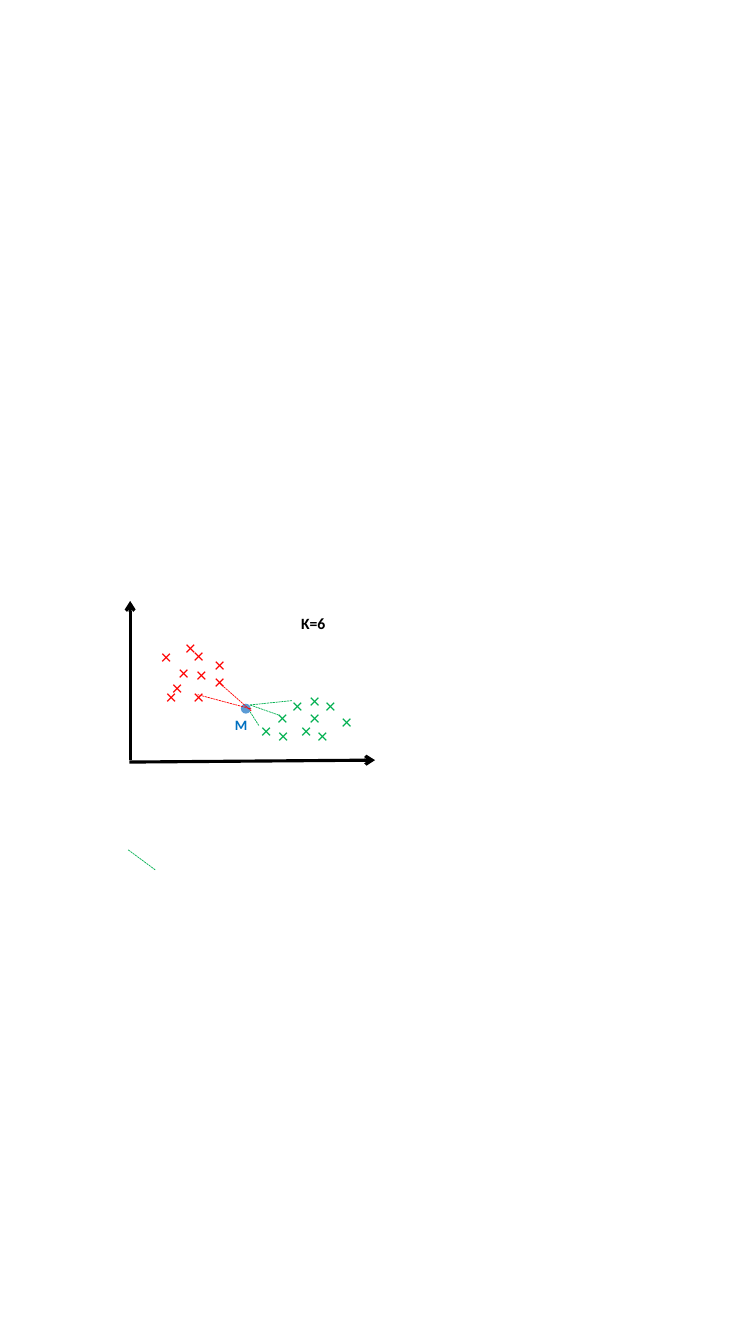
from dataclasses import dataclass

from lxml.etree import SubElement
from pptx import Presentation
from pptx.dml.color import RGBColor
from pptx.enum.dml import MSO_LINE
from pptx.enum.shapes import MSO_CONNECTOR, MSO_SHAPE
from pptx.enum.text import MSO_AUTO_SIZE
from pptx.oxml.ns import qn
from pptx.util import Cm, Pt


@dataclass(frozen=True)
class Theme:
    """Colours, type sizes and line widths."""
    font: str = "Calibri"
    black: str = "000000"
    red: str = "FF0000"
    green: str = "00B050"
    dot: str = "5B9BD5"
    blue: str = "0070C0"
    mark_size: float = 14.7
    name_size: float = 10.2
    k_size: float = 11.2
    axis_width: float = 2.25
    link_width: float = 0.5


T = Theme()
RED_MARKS = [(1.19, 0.74), (0.86, 1.73), (0.58, 0.97), (1.4, 0.94), (1.47, 1.42),
             (1.93, 1.17), (1.93, 1.6), (1.02, 1.37), (0.71, 1.96), (1.4, 1.96)]
GREEN_MARKS = [(3.89, 2.18), (4.72, 2.18), (4.11, 2.82), (3.51, 2.49), (4.52, 2.95),
               (5.13, 2.59), (4.32, 2.06), (4.32, 2.49), (3.53, 2.95), (3.1, 2.82)]
GREEN_LINKS = [((3.07, 2.79), (3.3, 3.15)), ((3.07, 2.62), (3.78, 2.87)),
               ((3.07, 2.62), (4.14, 2.51)), ((0, 6.27), (0.69, 6.78))]
RED_LINKS = [((3.1, 2.72), (1.75, 2.36)), ((3.1, 2.77), (2.29, 2.06))]


def add_line(s, origin, start, end, color, width):
    """Draw a straight line between two points given in cm from the origin."""
    x, y = origin
    c = s.shapes.add_connector(MSO_CONNECTOR.STRAIGHT, x + Cm(start[0]), y + Cm(start[1]),
                               x + Cm(end[0]), y + Cm(end[1]))
    c.line.color.rgb = RGBColor.from_string(color)
    c.line.width = Pt(width)
    SubElement(c._element.spPr, qn("a:effectLst"))
    return c


def add_label(s, origin, at, size, text, color, points, bold=False, wrap=False):
    """Place a one-line text box, in cm from the origin."""
    x, y = origin
    tb = s.shapes.add_textbox(x + Cm(at[0]), y + Cm(at[1]), Cm(size[0]), Cm(size[1]))
    tf = tb.text_frame
    tf.word_wrap = wrap
    tf.auto_size = MSO_AUTO_SIZE.SHAPE_TO_FIT_TEXT
    p = tf.paragraphs[0]
    p.text = text
    p.font.name = T.font
    p.font.size = Pt(points)
    p.font.bold = bold
    p.font.color.rgb = RGBColor.from_string(color)


def add_axes(s, origin):
    """Draw the two axes with open arrowheads."""
    for start, end in [((0.05, 4.01), (0.05, 0)), ((0.03, 4.06), (6.22, 4.01))]:
        c = add_line(s, origin, start, end, T.black, T.axis_width)
        SubElement(c.line._get_or_add_ln(), qn("a:tailEnd"), type="arrow")


def add_marks(s, origin, marks, width, color):
    """Place the crosses of one class."""
    for at in marks:
        add_label(s, origin, at, (width, 0.86), "×", color, T.mark_size, wrap=True)


def add_links(s, origin, links, color):
    """Draw the dashed lines to the neighbours of one class."""
    for start, end in links:
        c = add_line(s, origin, start, end, color, T.link_width)
        c.line.dash_style = MSO_LINE.SQUARE_DOT


def add_query_point(s, origin):
    """Draw the dot of the point M."""
    x, y = origin
    sp = s.shapes.add_shape(MSO_SHAPE.OVAL, x + Cm(2.84), y + Cm(2.59), Cm(0.25), Cm(0.25))
    sp.shadow.inherit = False
    sp.fill.solid()
    sp.fill.fore_color.rgb = RGBColor.from_string(T.dot)
    sp.line.fill.background()


def add_neighbour_plot(s, origin):
    """Draw the nearest-neighbour plot with its top left at the origin."""
    add_axes(s, origin)
    add_marks(s, origin, RED_MARKS, 0.74, T.red)
    add_marks(s, origin, GREEN_MARKS, 0.61, T.green)
    add_query_point(s, origin)
    add_links(s, origin, GREEN_LINKS, T.green)
    add_links(s, origin, RED_LINKS, T.red)
    add_label(s, origin, (2.44, 2.77), (0.81, 0.69), "M", T.blue, T.name_size, bold=True)
    add_label(s, origin, (4.11, 0.2), (1.12, 0.74), "K=6", T.black, T.k_size, bold=True)


def main():
    """Build and save the slide."""
    prs = Presentation()
    prs.slide_width, prs.slide_height = Cm(19.05), Cm(33.86)
    s = prs.slides.add_slide(prs.slide_layouts[6])
    add_neighbour_plot(s, (Cm(3.23), Cm(15.14)))
    prs.save("out.pptx")


if __name__ == "__main__":
    main()
